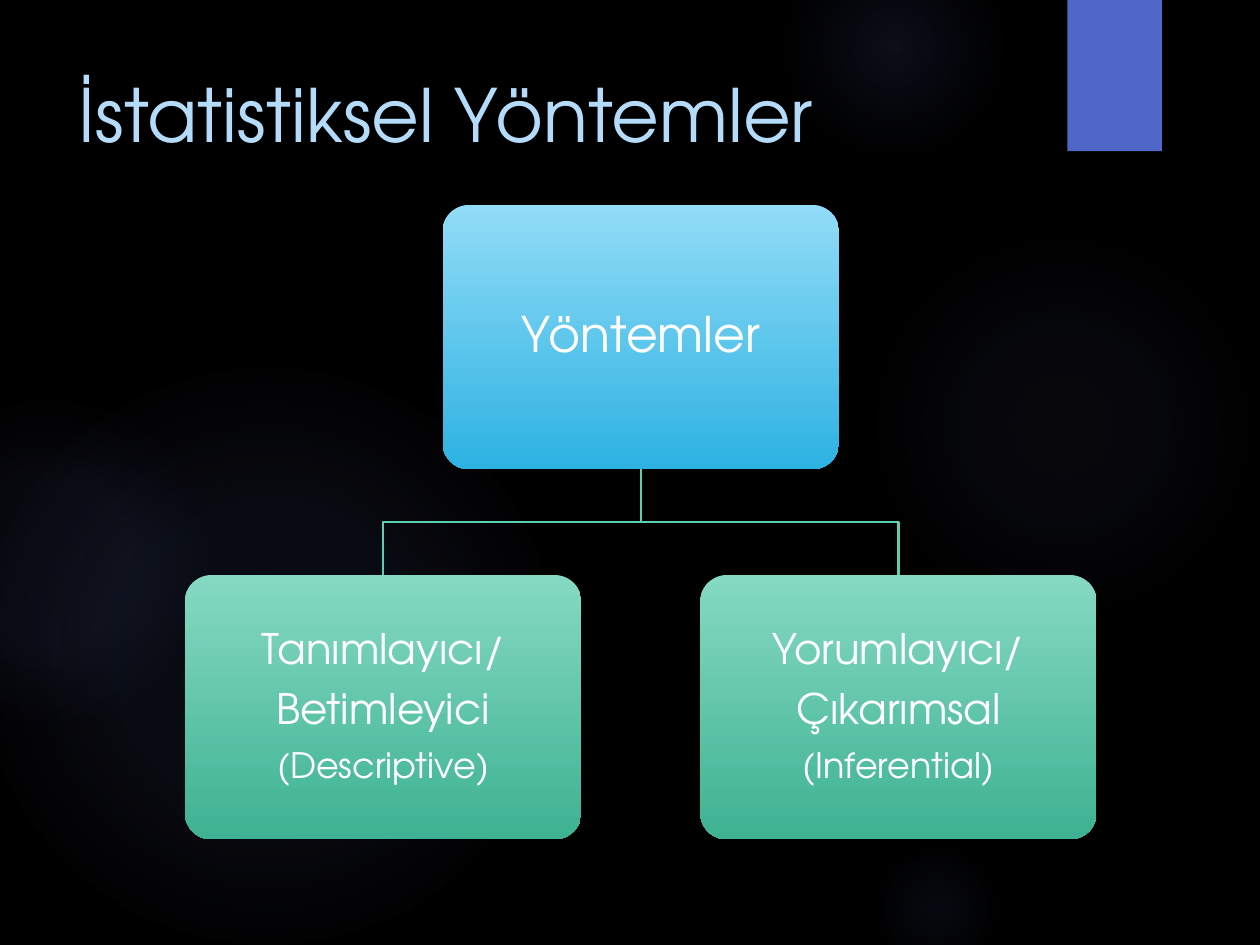
from lxml import etree
from pptx import Presentation
from pptx.dml.color import RGBColor
from pptx.enum.shapes import MSO_SHAPE
from pptx.enum.text import MSO_ANCHOR, PP_ALIGN
from pptx.oxml import parse_xml
from pptx.oxml.ns import nsdecls, qn
from pptx.util import Pt

ELLIPSE, RECTANGLE = MSO_SHAPE.OVAL, MSO_SHAPE.RECTANGLE
ROUNDED = MSO_SHAPE.ROUNDED_RECTANGLE
FONT = "TeX Gyre Adventor"

# Content
TITLE = "İstatistiksel Yöntemler"
ROOT = [("Yöntemler", 28)]
BRANCHES = [
    [("Tanımlayıcı/", 24), ("Betimleyici", 24), ("(Descriptive)", 20)],
    [("Yorumlayıcı/", 24), ("Çıkarımsal", 24), ("(Inferential)", 20)],
]

# Colours
BLACK, WHITE, TITLE_BLUE = "000000", "FFFFFF", "B4DCFA"
TAB_BLUE, GLOW_BLUE, LINE_GREEN = "4E67C8", "5968B0", "5DCEAF"
ROOT_COLORS = ("92DCF7", "2DB2E2")
BRANCH_COLORS = ("85D9C2", "3EB292")

# Background glows: left, top, diameter, [(position %, opacity %)]
GLOWS = [
    (496, 132, 222, [(0, 7), (36, 6), (69, 0)]),
    (448, -36, 126, [(0, 14), (36, 7), (73, 0)]),
    (496, 480, 78, [(0, 9), (36, 5), (66, 0)]),
    (-12, 210, 330, [(0, 11), (36, 10), (75, 0)]),
    (-66, 228, 186, [(0, 8), (36, 8), (72, 0)]),
]

# Tree geometry
BOX_WIDTH, BOX_HEIGHT = 226.5, 151
CENTER_X, ROOT_TOP = 366.2, 117.1
BRANCH_STEP, LEVEL_GAP = 294.5, 60.5


def rgb(color):
    return RGBColor.from_string(color)


def add_plain_shape(kind, left, top, width, height):
    shape = slide.shapes.add_shape(kind, Pt(left), Pt(top), Pt(width), Pt(height))
    shape.shadow.inherit = False
    shape.line.fill.background()
    return shape


def set_gradient(shape, stops, direction):
    """Fill with stops of (position %, colour, opacity %)."""
    shape.fill.background()
    gradient = parse_xml(f"<a:gradFill {nsdecls('a')}><a:gsLst/>{direction}</a:gradFill>")
    for position, color, opacity in stops:
        stop = etree.SubElement(gradient[0], qn("a:gs"), pos=str(position * 1000))
        tint = etree.SubElement(stop, qn("a:srgbClr"), val=color)
        etree.SubElement(tint, qn("a:alpha"), val=str(opacity * 1000))
    properties = shape.element.spPr
    properties.replace(properties.find(qn("a:noFill")), gradient)


def style_run(run, size, color):
    run.font.name = FONT
    run.font.size = Pt(size)
    run.font.color.rgb = rgb(color)


def add_box(center_x, top, lines, colors):
    box = add_plain_shape(ROUNDED, center_x - BOX_WIDTH / 2, top, BOX_WIDTH, BOX_HEIGHT)
    box.adjustments[0] = 0.1
    set_gradient(box, [(0, colors[0], 100), (100, colors[1], 100)],
                 '<a:lin ang="5400000" scaled="0"/>')
    frame = box.text_frame
    frame.word_wrap = True
    frame.vertical_anchor = MSO_ANCHOR.MIDDLE
    frame.text = "\n".join(text for text, size in lines)
    for paragraph, (text, size) in zip(frame.paragraphs, lines):
        paragraph.alignment = PP_ALIGN.CENTER
        paragraph.line_spacing = 0.9
        paragraph.space_after = Pt(size * 0.35)
        style_run(paragraph.runs[0], size, WHITE)


def add_elbow(start_x, start_y, end_x, end_y):
    middle_y = (start_y + end_y) / 2
    builder = slide.shapes.build_freeform(Pt(start_x), Pt(start_y))
    corners = [(start_x, middle_y), (end_x, middle_y), (end_x, end_y)]
    builder.add_line_segments([(Pt(x), Pt(y)) for x, y in corners], close=False)
    elbow = builder.convert_to_shape()
    elbow.shadow.inherit = False
    elbow.fill.background()
    elbow.line.color.rgb = rgb(LINE_GREEN)
    elbow.line.width = Pt(1.5)


presentation = Presentation()
presentation.slide_width, presentation.slide_height = Pt(720), Pt(540)
slide = presentation.slides.add_slide(presentation.slide_layouts[6])
slide.background.fill.solid()
slide.background.fill.fore_color.rgb = rgb(BLACK)

# Background glows and corner tab
RADIAL = ('<a:path path="circle"><a:fillToRect l="50000" t="50000" '
          'r="50000" b="50000"/></a:path>')
for left, top, diameter, fades in GLOWS:
    glow = add_plain_shape(ELLIPSE, left, top, diameter, diameter)
    set_gradient(glow, [(position, GLOW_BLUE, opacity) for position, opacity in fades], RADIAL)
tab = add_plain_shape(RECTANGLE, 610, 0, 54, 86.4)
tab.fill.solid()
tab.fill.fore_color.rgb = rgb(TAB_BLUE)

# Title
title = slide.shapes.add_textbox(Pt(38), Pt(36), Pt(556), Pt(110))
title.text_frame.word_wrap = True
title.text_frame.text = TITLE
style_run(title.text_frame.paragraphs[0].runs[0], 42, TITLE_BLUE)

# Tree
add_box(CENTER_X, ROOT_TOP, ROOT, ROOT_COLORS)
root_bottom = ROOT_TOP + BOX_HEIGHT
branch_top = root_bottom + LEVEL_GAP
for index, lines in enumerate(BRANCHES):
    branch_x = CENTER_X + (index - (len(BRANCHES) - 1) / 2) * BRANCH_STEP
    add_elbow(CENTER_X, root_bottom, branch_x, branch_top)
    add_box(branch_x, branch_top, lines, BRANCH_COLORS)

presentation.save("out.pptx")
